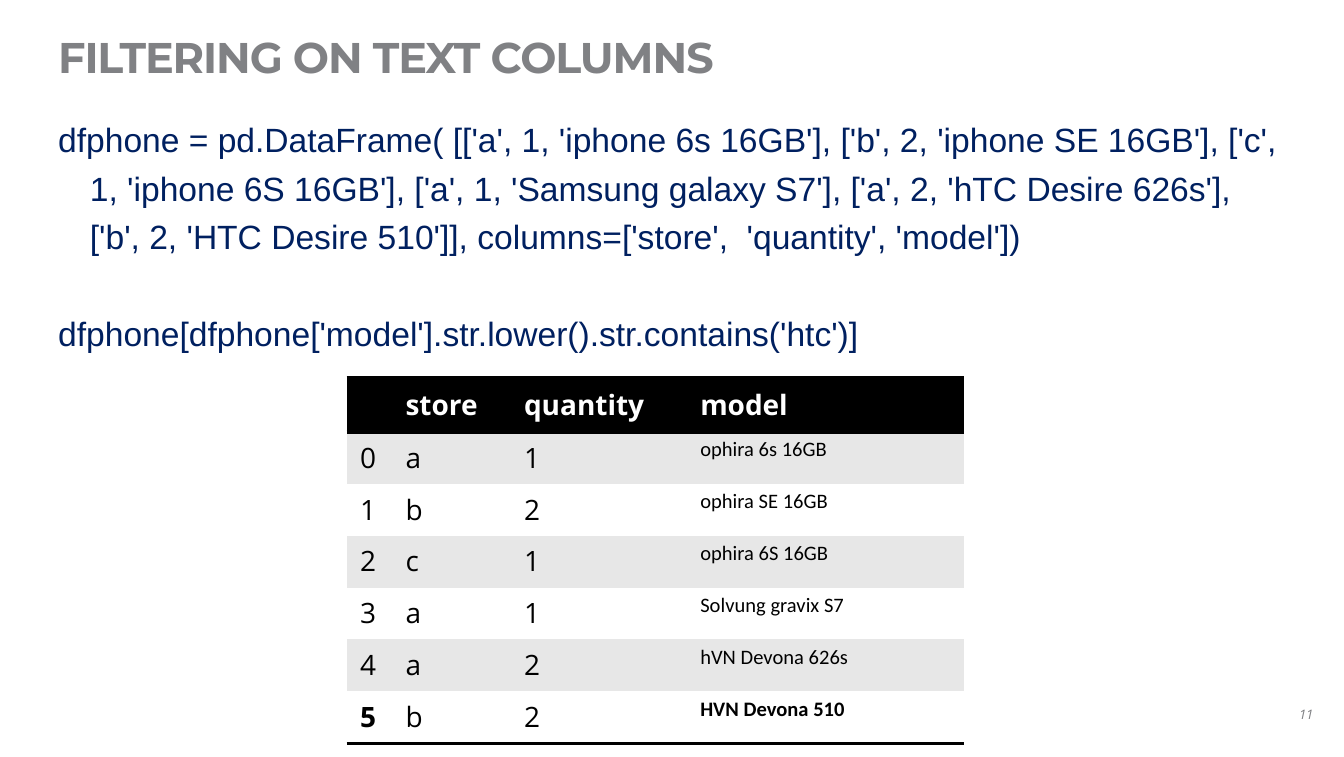
from lxml import etree
from pptx import Presentation
from pptx.dml.color import RGBColor
from pptx.enum.text import MSO_ANCHOR, PP_ALIGN
from pptx.oxml.ns import qn
from pptx.util import Cm, Pt

TOP, MIDDLE = MSO_ANCHOR.TOP, MSO_ANCHOR.MIDDLE
LEFT, RIGHT = PP_ALIGN.LEFT, PP_ALIGN.RIGHT

GRAY = RGBColor(0x80, 0x81, 0x84)
NAVY = RGBColor(0x00, 0x20, 0x60)
BLACK = RGBColor(0x00, 0x00, 0x00)
WHITE = RGBColor(0xFF, 0xFF, 0xFF)
BAND = RGBColor(0xE7, 0xE7, 0xE7)

TITLE_FONT = {"name": "Montserrat", "size": Pt(23), "bold": True}
CODE_FONT = {"name": "Arial", "size": Pt(18)}
NUMBER_FONT = {"name": "Open Sans", "size": Pt(7), "italic": True}
CELL_FONT = {"name": "Open Sans", "size": Pt(15)}
MODEL_FONT = {"name": "Calibri", "size": Pt(11)}

NO_STYLE_NO_GRID = "{2D5ABB26-0587-4C30-8999-92F81FD0307C}"
INSET = Cm(0.25)

CODE = [
    "dfphone = pd.DataFrame( [['a', 1, 'iphone 6s 16GB'], "
    "['b', 2, 'iphone SE 16GB'], ['c', 1, 'iphone 6S 16GB'], "
    "['a', 1, 'Samsung galaxy S7'], ['a', 2, 'hTC Desire 626s'], "
    "['b', 2, 'HTC Desire 510']], columns=['store',  'quantity', 'model'])",
    "dfphone[dfphone['model'].str.lower().str.contains('htc')]",
]
PHONES = [
    ["", "store", "quantity", "model"],
    ["0", "a", "1", "ophira 6s 16GB"],
    ["1", "b", "2", "ophira SE 16GB"],
    ["2", "c", "1", "ophira 6S 16GB"],
    ["3", "a", "1", "Solvung gravix S7"],
    ["4", "a", "2", "hVN Devona 626s"],
    ["5", "b", "2", "HVN Devona 510"],
]
COLUMN_WIDTHS = [0.86, 2.24, 3.33, 5.23]
HEADER_HEIGHT, ROW_HEIGHT = 1.02, 0.98


def write_paragraph(paragraph, text, font, color, alignment=LEFT, spacing=1.0):
    paragraph.alignment = alignment
    paragraph.line_spacing = spacing
    run = paragraph.add_run()
    run.text = text
    for name, value in font.items():
        setattr(run.font, name, value)
    run.font.color.rgb = color
    return run


def add_text_frame(slide, left, top, width, height, anchor=TOP):
    shape = slide.shapes.add_textbox(Cm(left), Cm(top), Cm(width), Cm(height))
    frame = shape.text_frame
    frame.word_wrap = True
    frame.vertical_anchor = anchor
    for side in ("left", "top", "right", "bottom"):
        setattr(frame, f"margin_{side}", INSET)
    return frame


def add_code(slide, lines):
    frame = add_text_frame(slide, 0.85, 1.85, 23.67, 10.85)
    for index, line in enumerate(lines):
        paragraph = frame.add_paragraph() if index else frame.paragraphs[0]
        write_paragraph(paragraph, line, CODE_FONT, NAVY, spacing=1.2)
        if index:
            paragraph.space_before = Pt(26)
        # Hanging indent for wrapped code
        properties = paragraph._p.get_or_add_pPr()
        properties.set("marL", str(Cm(0.6)))
        properties.set("indent", str(-Cm(0.6)))


def add_border(cell, tag):
    properties = cell._tc.get_or_add_tcPr()
    line = etree.SubElement(properties, qn(tag), w=str(Pt(2)))
    fill = etree.SubElement(line, qn("a:solidFill"))
    etree.SubElement(fill, qn("a:srgbClr"), val=str(BLACK))


def fill_cell(cell, text, row, column):
    is_header = row == 0
    is_last = row == len(PHONES) - 1
    is_model = column == len(COLUMN_WIDTHS) - 1 and not is_header

    # Rules above and below the header and below the last row
    if is_header:
        add_border(cell, "a:lnT")
    if is_header or is_last:
        add_border(cell, "a:lnB")
    cell.fill.solid()
    cell.fill.fore_color.rgb = BLACK if is_header else BAND if row % 2 else WHITE

    cell.vertical_anchor = TOP if is_model else MIDDLE
    font = dict(MODEL_FONT if is_model else CELL_FONT)
    font["bold"] = is_header or (is_last and column in (0, 3))
    paragraph = cell.text_frame.paragraphs[0]
    if text:
        write_paragraph(paragraph, text, font,
                        WHITE if is_header else BLACK, spacing=0.9)
    else:
        # An empty cell must not stretch its row
        etree.SubElement(paragraph._p, qn("a:endParaRPr"), sz="1500")


def add_phone_table(slide):
    heights = [HEADER_HEIGHT] + [ROW_HEIGHT] * (len(PHONES) - 1)
    frame = slide.shapes.add_table(
        len(PHONES), len(COLUMN_WIDTHS), Cm(6.55), Cm(7.14),
        Cm(sum(COLUMN_WIDTHS)), Cm(sum(heights)))
    table = frame.table
    table._tbl.tblPr.find(qn("a:tableStyleId")).text = NO_STYLE_NO_GRID
    table.horz_banding = False
    for column, width in zip(table.columns, COLUMN_WIDTHS):
        column.width = Cm(width)
    for row, height in zip(table.rows, heights):
        row.height = Cm(height)
    for row, values in enumerate(PHONES):
        for column, text in enumerate(values):
            fill_cell(table.cell(row, column), text, row, column)


def main():
    presentation = Presentation()
    presentation.slide_width = Cm(25.4)
    presentation.slide_height = Cm(14.3)
    slide = presentation.slides.add_slide(presentation.slide_layouts[6])

    # Title
    frame = add_text_frame(slide, 0.85, 0.6, 23.67, 1.6)
    run = write_paragraph(frame.paragraphs[0], "FILTERING ON TEXT COLUMNS",
                          TITLE_FONT, GRAY, spacing=0.7)
    run.font._element.set("spc", "-60")

    # Code and its data
    add_code(slide, CODE)
    add_phone_table(slide)

    # Slide number
    frame = add_text_frame(slide, 23.55, 12.95, 1.52, 1.09, MIDDLE)
    write_paragraph(frame.paragraphs[0], "11", NUMBER_FONT, GRAY, RIGHT)

    presentation.save("out.pptx")


if __name__ == "__main__":
    main()
